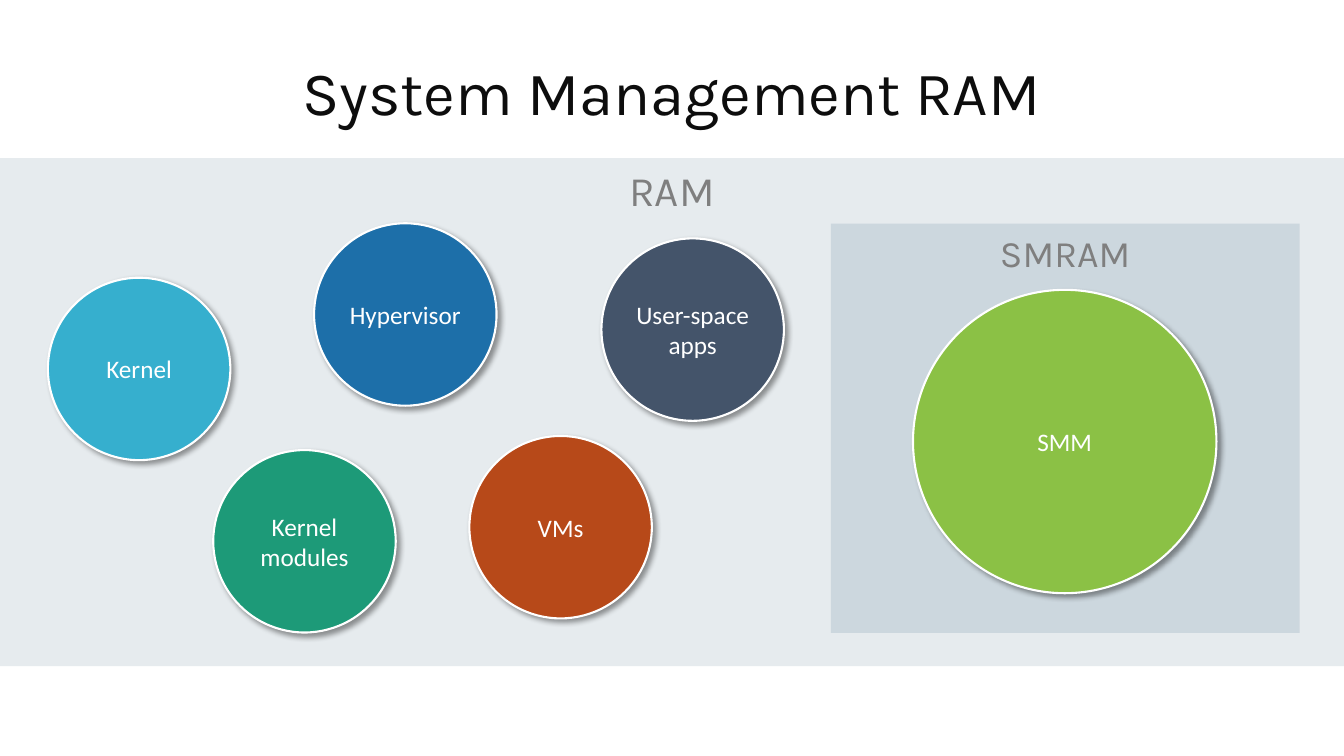
from lxml.etree import SubElement
from pptx import Presentation
from pptx.dml.color import RGBColor
from pptx.enum.shapes import MSO_SHAPE as Preset
from pptx.enum.text import MSO_ANCHOR as Anchor, PP_ALIGN as Align
from pptx.oxml.ns import qn
from pptx.util import Inches, Pt

WIDTH, HEIGHT = 13.33, 7.5
SMALL, LARGE = 1.81, 3.01  # circle diameters
LABEL_GREY = "7F7F7F"

# text, centre x, centre y, diameter, fill
CIRCLES = [
    ("SMM", 10.56, 4.38, LARGE, "8BC145"),
    ("Kernel", 1.38, 3.66, SMALL, "36AFCE"),
    ("User-space apps", 6.87, 3.27, SMALL, "44546A"),
    ("Kernel modules", 3.02, 5.37, SMALL, "1D9A78"),
    ("Hypervisor", 4.02, 3.12, SMALL, "1D6FA9"),
    ("VMs", 5.56, 5.23, SMALL, "B74919"),
]


def color(code):
    return RGBColor.from_string(code)


def write(shape, text, size, font, code, anchor=Anchor.TOP, inset=0):
    """Put one centred paragraph into the shape."""
    frame = shape.text_frame
    frame.word_wrap = True
    frame.vertical_anchor = anchor
    frame.margin_left = frame.margin_right = Inches(inset)
    frame.margin_top = frame.margin_bottom = Inches(inset)
    para = frame.paragraphs[0]
    para.text = text
    para.alignment = Align.CENTER
    para.font.size = Pt(size)
    para.font.name = font
    para.font.color.rgb = color(code)
    return para


def add_filled(page, preset, left, top, width, height, fill):
    shape = page.shapes.add_shape(
        preset, Inches(left), Inches(top), Inches(width), Inches(height))
    shape.shadow.inherit = False
    shape.fill.solid()
    shape.fill.fore_color.rgb = color(fill)
    shape.line.fill.background()
    return shape


def add_title(page, text):
    margin = 0.92
    box = page.shapes.add_textbox(
        Inches(margin), Inches(0.62), Inches(WIDTH - 2 * margin), Inches(1.45))
    write(box, text, 44, "Karla", "0D0D0D").line_spacing = 0.9


def add_region(page, label, left, top, width, height, fill, size):
    region = add_filled(page, Preset.RECTANGLE, left, top, width, height, fill)
    write(region, label, size, "Karla", LABEL_GREY, inset=0.06)


def add_drop_shadow(shape):
    effects = shape._element.spPr.find(qn("a:effectLst"))
    shadow = SubElement(effects, qn("a:outerShdw"), blurRad=str(Pt(4)),
                        dist=str(Pt(3)), dir=str(45 * 60000),
                        algn="tl", rotWithShape="0")
    black = SubElement(shadow, qn("a:srgbClr"), val="000000")
    SubElement(black, qn("a:alpha"), val="40000")


def add_circle(page, text, center_x, center_y, diameter, fill):
    radius = diameter / 2
    circle = add_filled(page, Preset.OVAL, center_x - radius,
                        center_y - radius, diameter, diameter, fill)
    circle.line.color.rgb = color("FFFFFF")
    circle.line.width = Pt(1.5)
    add_drop_shadow(circle)
    write(circle, text, 18, "Calibri", "FFFFFF", Anchor.MIDDLE)


def main():
    deck = Presentation()
    deck.slide_width, deck.slide_height = Inches(WIDTH), Inches(HEIGHT)
    page = deck.slides.add_slide(deck.slide_layouts[6])
    add_region(page, "RAM", 0, 1.57, WIDTH, 5.04, "E6EBEE", 30)
    add_region(page, "SMRAM", 8.24, 2.22, 4.65, 4.06, "CCD7DE", 26.7)
    add_title(page, "System Management RAM")
    for circle in CIRCLES:
        add_circle(page, *circle)
    deck.save("out.pptx")


if __name__ == "__main__":
    main()
